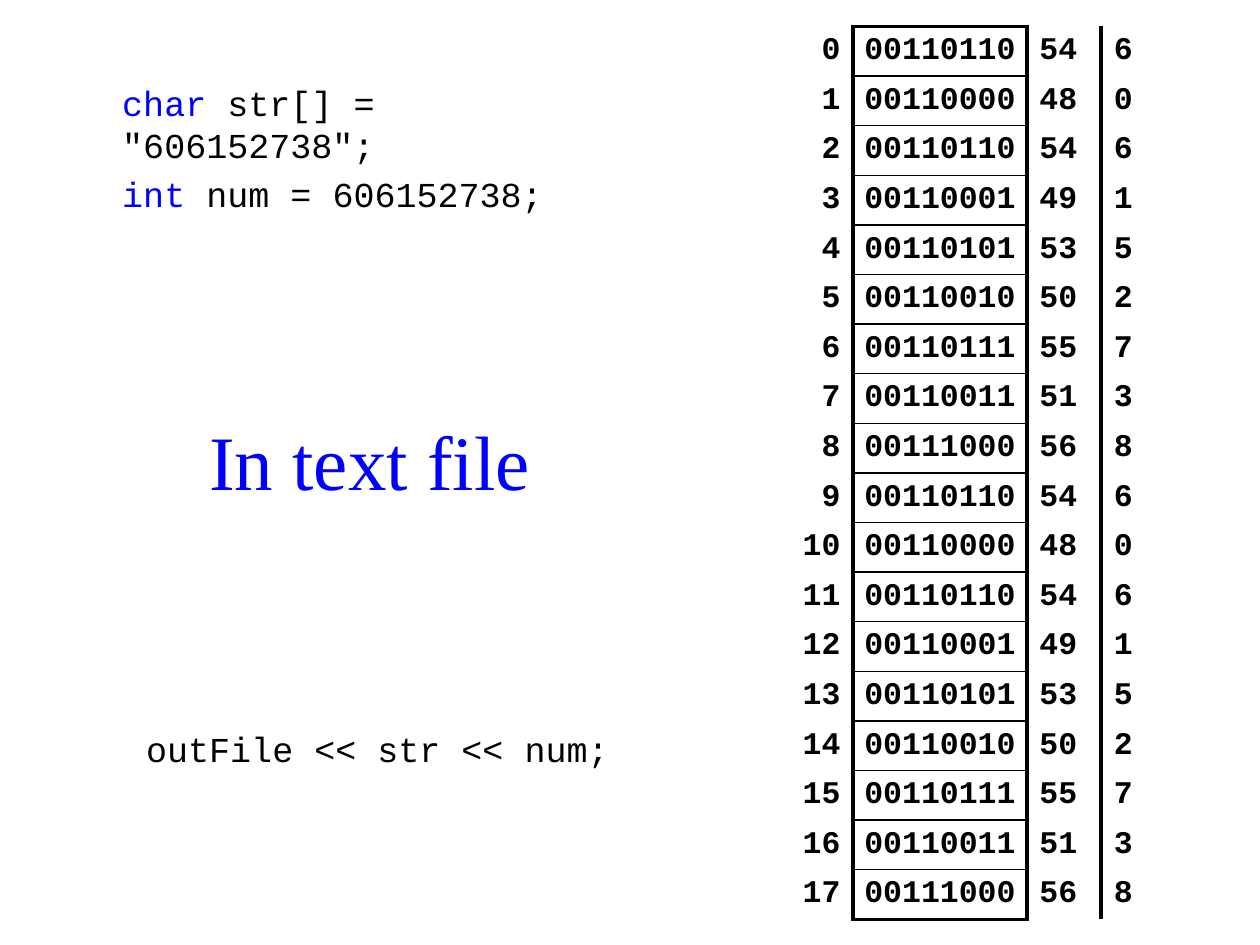
import pptx
import pptx.util
import pptx.dml.color
import pptx.enum.text
import pptx.oxml
import pptx.oxml.ns

Inches = pptx.util.Inches
ALIGN = pptx.enum.text.PP_ALIGN
MONO = "Courier New"
SERIF = "Times New Roman"
BLACK = "000000"
BLUE = "0000FF"
DIGITS = "606152738" * 2
THICK, THIN = 2.25, 1
PLAIN = "{2D5ABB26-0587-4C30-8999-92F81FD0307C}"


def paint(font, color):
    """Give a font a solid colour from a hex string."""
    font.color.rgb = pptx.dml.color.RGBColor.from_string(color)


def style(para, name, size, bold=False):
    """Set the font shared by all runs of a paragraph."""
    para.font.name = name
    para.font.size = pptx.util.Pt(size)
    para.font.bold = bold


def place(shape, left, top, width, height):
    """Move and size a placeholder, and return its text frame."""
    shape.left, shape.top = Inches(left), Inches(top)
    shape.width, shape.height = Inches(width), Inches(height)
    frame = shape.text_frame
    frame.word_wrap = True
    frame.auto_size = pptx.enum.text.MSO_AUTO_SIZE.NONE
    return frame


def title(shape, text, box):
    """Write the slide title."""
    para = place(shape, *box).paragraphs[0]
    para.text = text
    para.alignment = ALIGN.CENTER
    style(para, SERIF, 44)
    paint(para.font, BLUE)


def code(shape, lines, box):
    """Write code lines, each a keyword and the rest, without bullets."""
    frame = place(shape, *box)
    for i, (key, rest) in enumerate(lines):
        para = frame.add_paragraph() if i else frame.paragraphs[0]
        style(para, MONO, 20)
        props = para._p.get_or_add_pPr()
        props.set("marL", "0")
        props.set("indent", "0")
        props.insert(0, pptx.oxml.parse_xml(
            f'<a:buNone {pptx.oxml.ns.nsdecls("a")}/>'))
        for text, color in ((key, BLUE), (rest, BLACK)):
            if text:
                run = para.add_run()
                run.text = text
                paint(run.font, color)


def edge(cell, **sides):
    """Draw black cell borders, given as side=points in L, R, T, B order."""
    props = cell._tc.get_or_add_tcPr()
    for side, width in sides.items():
        props.append(pptx.oxml.parse_xml(
            f'<a:ln{side} {pptx.oxml.ns.nsdecls("a")} w="{pptx.util.Pt(width)}">'
            f'<a:solidFill><a:srgbClr val="{BLACK}"/></a:solidFill></a:ln{side}>'))


def fill(cell, text, align, inset):
    """Write one table cell without a background."""
    cell.fill.background()
    cell.vertical_anchor = pptx.enum.text.MSO_ANCHOR.MIDDLE
    cell.margin_left = cell.margin_right = Inches(inset)
    cell.margin_top = cell.margin_bottom = Inches(0.04)
    para = cell.text_frame.paragraphs[0]
    para.text = text
    para.alignment = align
    style(para, MONO, 18, True)
    paint(para.font, BLACK)


def memory(slide):
    """Add the table of bytes: address, bits, code and character."""
    widths = (0.59, 1.38, 0.59, 0.39)
    aligns = (ALIGN.RIGHT, ALIGN.CENTER, ALIGN.LEFT, ALIGN.LEFT)
    insets = (0.1, 0.08, 0.1, 0.1)
    count = len(DIGITS)
    table = slide.shapes.add_table(
        count, len(widths), Inches(6.18), Inches(0.21),
        Inches(sum(widths)), Inches(7.09)).table
    table.first_row = table.horz_banding = False
    table._tbl.tblPr.find(pptx.oxml.ns.qn("a:tableStyleId")).text = PLAIN
    for column, width in zip(table.columns, widths):
        column.width = Inches(width)
    for row, digit in enumerate(DIGITS):
        value = ord(digit)
        cells = table.rows[row].cells
        edge(cells[0], R=THICK)
        edge(cells[1], L=THICK, R=THICK,
             T=THIN if row else THICK,
             B=THIN if row < count - 1 else THICK)
        edge(cells[2], L=THICK)
        texts = (str(row), f"{value:08b}", str(value), digit)
        for cell, text, align, inset in zip(cells, texts, aligns, insets):
            fill(cell, text, align, inset)


def main():
    """Build and save the slide."""
    deck = pptx.Presentation()
    deck.slide_width, deck.slide_height = Inches(10), Inches(7.5)
    slide = deck.slides.add_slide(deck.slide_layouts[3])
    head, output, setup = slide.placeholders
    memory(slide)
    title(head, "In text file", (1.46, 3.16, 2.95, 0.98))
    code(output, [("", "outFile << str << num;")], (1.06, 5.72, 3.94, 0.59))
    code(setup, [("char ", 'str[] = "606152738";'),
                 ("int ", "num = 606152738;")], (0.87, 0.6, 4.33, 0.79))
    deck.save("out.pptx")


if __name__ == "__main__":
    main()
